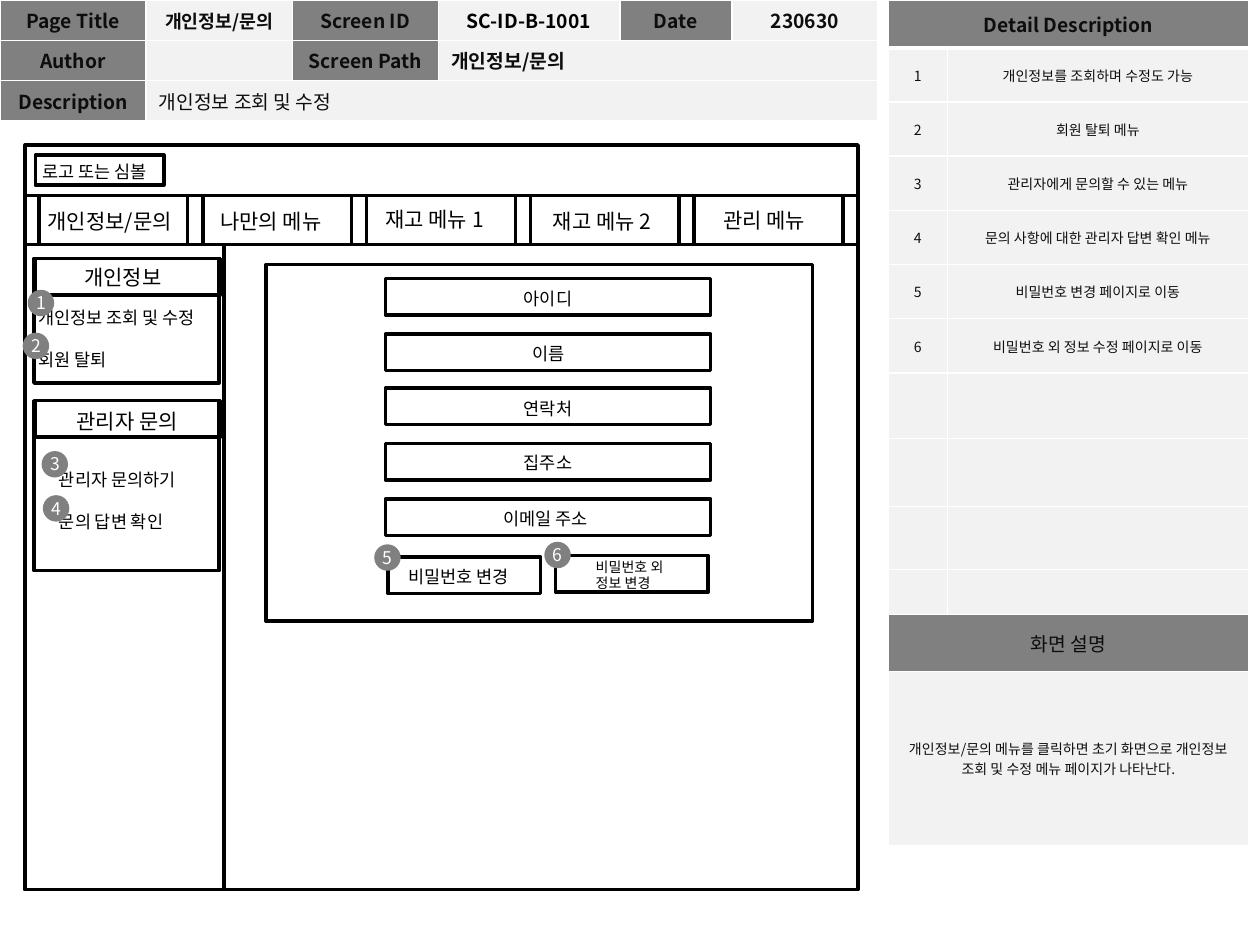
from lxml.etree import SubElement
from pptx import Presentation
from pptx.dml.color import RGBColor
from pptx.enum.shapes import MSO_SHAPE
from pptx.enum.text import MSO_ANCHOR, MSO_AUTO_SIZE, PP_ALIGN
from pptx.oxml.ns import qn
from pptx.util import Inches, Pt

FONT = "Noto Sans CJK KR"
GREY, PALE, WHITE, BLACK, DARK = "808080", "F2F2F2", "FFFFFF", "000000", "0D0D0D"
hue = RGBColor.from_string

# Grid of 1000 columns by 750 rows
deck = Presentation()
deck.slide_width, deck.slide_height = Inches(10), Inches(7.5)
CELL = deck.slide_width // 1000
slide = deck.slides.add_slide(deck.slide_layouts[6])


def write(frame, text, size, tint, bold=False, align=PP_ALIGN.LEFT):
    frame.text = text
    for para in frame.paragraphs:
        para.alignment = align
        for run in para.runs:
            run.font.size, run.font.bold, run.font.name = Pt(size), bold, FONT
            run.font.color.rgb = hue(tint)
            SubElement(run.font._element, qn("a:ea"), typeface=FONT)


def draw(kind, *spot, fill=None):
    shape = slide.shapes.add_shape(kind, *[CELL * n for n in spot])
    shape.shadow.inherit = False
    if fill:
        shape.fill.solid()
        shape.fill.fore_color.rgb = hue(fill)
        shape.line.fill.background()
    else:
        shape.fill.background()
        shape.line.color.rgb = hue(BLACK)
        shape.line.width = Pt(2)


# Tables: None continues the cell to its left
heads = {"Page Title", "Screen ID", "Date", "Author", "Screen Path",
         "Description", "Detail Description", "화면 설명"}
info = [
    ["Page Title", "개인정보/문의", "Screen ID", "SC-ID-B-1001", "Date", "230630"],
    ["Author", "", "Screen Path", "개인정보/문의", None, None],
    ["Description", "개인정보 조회 및 수정", None, None, None, None],
]
notes = ["개인정보를 조회하며 수정도 가능", "회원 탈퇴 메뉴",
         "관리자에게 문의할 수 있는 메뉴", "문의 사항에 대한 관리자 답변 확인 메뉴",
         "비밀번호 변경 페이지로 이동", "비밀번호 외 정보 수정 페이지로 이동"]
detail = [["Detail Description", None]]
detail += [[str(n), note] for n, note in enumerate(notes, 1)]
detail += [["", ""] for _ in range(4)]
detail += [["화면 설명", None],
           ["개인정보/문의 메뉴를 클릭하면 초기 화면으로 개인정보 조회 및 수정 메뉴 페이지가 나타난다.", None]]
plans = [
    (0, info, [116, 116, 116, 144, 89, 116], [32] * 3),
    (705, detail, [47, 239], [38] + [43] * 6 + [52, 54, 50, 36, 45, 138]),
]
for left, data, wide, high in plans:
    spot = [CELL * n for n in (left, 0, sum(wide), sum(high))]
    table = slide.shapes.add_table(len(high), len(wide), *spot).table
    table.first_row = table.horz_banding = False
    for col, n in zip(table.columns, wide):
        col.width = CELL * n
    for row, n in zip(table.rows, high):
        row.height = CELL * n
    for r, words in enumerate(data):
        for c, text in enumerate(words):
            cell = table.cell(r, c)
            head = text in heads
            cell.margin_top = cell.margin_bottom = 0
            cell.vertical_anchor = MSO_ANCHOR.MIDDLE
            # White borders, thicker under the detail heading
            for side in "LRTB":
                thick = data is detail and (r, side) in ((0, "B"), (1, "T"))
                edge = SubElement(cell._tc.get_or_add_tcPr(), qn(f"a:ln{side}"),
                                  w=str(Pt(3 if thick else 1)))
                SubElement(SubElement(edge, qn("a:solidFill")), qn("a:srgbClr"), val=WHITE)
            cell.fill.solid()
            cell.fill.fore_color.rgb = hue(GREY if head else PALE)
            if text:
                size, bold, align = 11, head and text != "화면 설명", PP_ALIGN.CENTER
                if data is info:
                    bold = r < 2 or head
                    if r and not head:
                        align = PP_ALIGN.LEFT
                    if (r, c) == (0, 1):
                        size = 10.5
                elif not head:
                    size = 8
                tint = BLACK if text == "SC-ID-B-1001" else DARK
                write(cell.text_frame, text, size, tint, bold, align)
        if None in words:
            table.cell(r, words.index(None) - 1).merge(table.cell(r, len(words) - 1))

# Frames: page, logo, menu bar, side bar, side panels, form, buttons
frames = [(20, 115, 661, 591), (28, 123, 102, 24), (20, 155, 661, 39),
          (20, 194, 158, 512), (28, 205, 147, 29), (27, 205, 147, 99),
          (28, 318, 147, 29), (27, 318, 147, 135), (211, 210, 434, 283),
          (308, 442, 121, 29), (441, 441, 121, 29)]
frames += [(31 + 130 * n, 155, 118, 39) for n in range(5)]
frames += [(306, 221 + 43.75 * n, 258, 29) for n in range(5)]
for spot in frames:
    draw(MSO_SHAPE.RECTANGLE, *[round(n) for n in spot])

# Labels: left, top, width, height, size, text
labels = [
    (24, 123, 114, 27, 10, "로고 또는 심볼"),
    (28, 161, 128, 30, 12, "개인정보/문의"),
    (165, 161, 110, 30, 12, "나만의 메뉴"),
    (296, 159, 109, 30, 12, "재고 메뉴 1"),
    (429, 161, 109, 30, 12, "재고 메뉴 2"),
    (564, 160, 93, 30, 12, "관리 메뉴"),
    (57, 205, 88, 30, 12, "개인정보"),
    (21, 239, 161, 61, 10, "개인정보 조회 및 수정\n회원 탈퇴"),
    (51, 319, 110, 30, 12, "관리자 문의"),
    (37, 367, 123, 61, 10, "관리자 문의하기\n문의 답변 확인"),
    (406, 224, 62, 27, 10, "아이디"),
    (413, 267, 48, 27, 10, "이름"),
    (406, 311, 62, 27, 10, "연락처"),
    (406, 354, 62, 27, 10, "집주소"),
    (390, 398, 95, 27, 10, "이메일 주소"),
    (314, 444, 109, 27, 10, "비밀번호 변경"),
    (463, 438, 84, 37, 8, "비밀번호 외\n정보 변경"),
]

# Numbered badges
badges = [(22, 230), (18, 264), (33, 358), (34, 393), (297, 432), (432, 430)]
marks = [(x - 3, y - 3, 28, 27, 10, str(n)) for n, (x, y) in enumerate(badges, 1)]

for *spot, size, text in labels + marks:
    badge = text.isdigit()
    if badge:
        x, y = badges[int(text) - 1]
        draw(MSO_SHAPE.OVAL, x, y, 21, 21, fill=GREY)
    frame = slide.shapes.add_textbox(*[CELL * n for n in spot]).text_frame
    frame.word_wrap = False
    frame.auto_size = MSO_AUTO_SIZE.SHAPE_TO_FIT_TEXT
    write(frame, text, size, WHITE if badge else BLACK)
    for n, para in enumerate(frame.paragraphs):
        para.line_spacing = Pt(size * 1.2)
        if n and size == 10:
            para.space_before = Pt(12)

deck.save("out.pptx")
